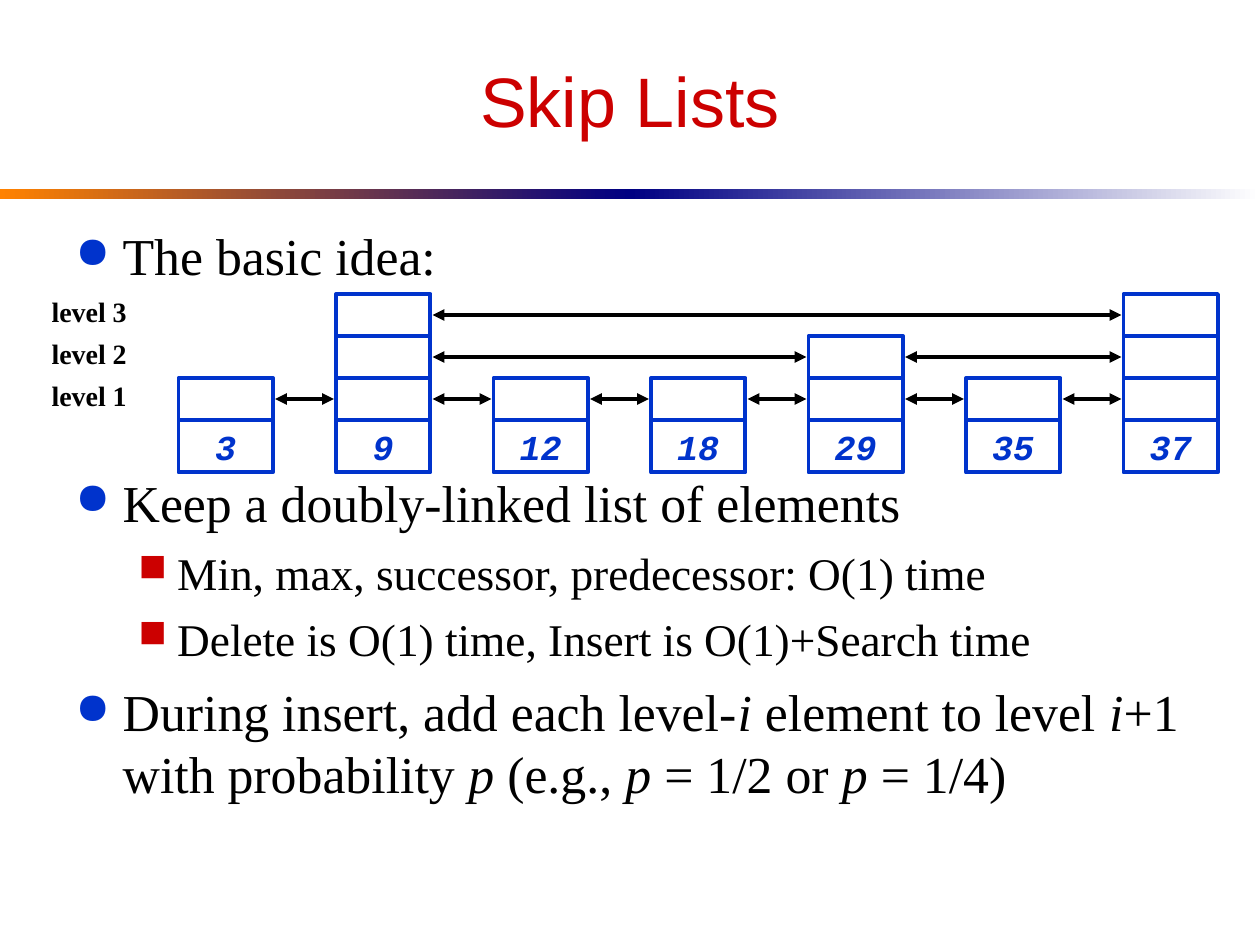
from lxml.etree import SubElement
from pptx import Presentation
from pptx.dml.color import RGBColor
from pptx.enum.shapes import MSO_CONNECTOR as Connector, MSO_SHAPE as Shape
from pptx.enum.text import MSO_ANCHOR as Anchor, PP_ALIGN as Align
from pptx.oxml.ns import qn
from pptx.util import Emu, Pt

PX = 7620
COLORS = {"red": "CC0000", "blue": "0033CC", "black": "000000",
          "white": "FFFFFF", "orange": "FF8200", "navy": "000082"}

TITLE = "Skip Lists"
INTRO = [(0, "The basic idea:")]
DETAILS = [
    (0, "Keep a doubly-linked list of elements"),
    (1, "Min, max, successor, predecessor: O(1) time"),
    (1, "Delete is O(1) time, Insert is O(1)+Search time"),
    (0, "During insert, add each level-*i* element to level *i*+1 "
        "with probability *p* (e.g., *p* = 1/2 or *p* = 1/4)"),
]
BULLETS = [
    {"mark": "●", "color": "blue", "size": 29.6, "before": 8, "margin": 45, "hang": 45},
    {"mark": "■", "color": "red", "size": 25.9, "before": 7, "margin": 97, "hang": 37},
]
NODES = [("3", 1), ("9", 3), ("12", 1), ("18", 1), ("29", 2), ("35", 1), ("37", 3)]
RULE = [(0, "orange", "navy"), (600, "navy", "white")]

NODE_LEFT, NODE_PITCH, NODE_WIDTH = 170, 150, 90
KEY_TOP, KEY_HEIGHT, LEVEL_HEIGHT = 400, 50, 40
LABEL_LEFT, LABEL_WIDTH = 20, 130
ARROW_GAP = 2


def px(*lengths):
    return [Emu(length * PX) for length in lengths]


def rgb(name):
    return RGBColor.from_string(COLORS[name])


def write(paragraph, text, size=20, font="Times New Roman", color="black",
          bold=False, italic=False, align=Align.LEFT, spacing=None):
    paragraph.alignment = align
    if spacing:
        paragraph.line_spacing = spacing
    for index, part in enumerate(text.split("*")):
        run = paragraph.add_run()
        run.text = part
        run.font.size = Pt(size)
        run.font.name = font
        run.font.bold = bold
        run.font.italic = italic or index % 2 == 1
        run.font.color.rgb = rgb(color)


def add_bullet(paragraph, style):
    properties = paragraph._p.get_or_add_pPr()
    properties.set("marL", str(style["margin"] * PX))
    properties.set("indent", str(-style["hang"] * PX))
    color = SubElement(properties, qn("a:buClr"))
    SubElement(color, qn("a:srgbClr"), val=COLORS[style["color"]])
    SubElement(properties, qn("a:buSzPct"), val="85000")
    SubElement(properties, qn("a:buChar"), char=style["mark"])


def add_list(slide, box, items):
    frame = slide.shapes.add_textbox(*px(*box)).text_frame
    frame.word_wrap = True
    for index, (level, text) in enumerate(items):
        style = BULLETS[level]
        paragraph = frame.add_paragraph() if index else frame.paragraphs[0]
        add_bullet(paragraph, style)
        if index:
            paragraph.level = level
            paragraph.space_before = Pt(style["before"])
        write(paragraph, text, size=style["size"])


def add_box(slide, box, line=None, text=None, **format):
    shape = slide.shapes.add_shape(Shape.RECTANGLE, *px(*box))
    shape.shadow.inherit = False
    shape.fill.solid()
    shape.fill.fore_color.rgb = rgb("white")
    if line:
        shape.line.color.rgb = rgb(line)
        shape.line.width = Pt(2.25)
    else:
        shape.line.fill.background()
    if text:
        shape.text_frame.word_wrap = False
        shape.text_frame.vertical_anchor = Anchor.MIDDLE
        write(shape.text_frame.paragraphs[0], text, align=Align.CENTER, **format)
    return shape


def add_arrow(slide, start, end, y):
    arrow = slide.shapes.add_connector(Connector.STRAIGHT, *px(start, y, end, y))
    arrow.line.color.rgb = rgb("black")
    arrow.line.width = Pt(2.25)
    line = arrow.line._get_or_add_ln()
    for tag in ("a:headEnd", "a:tailEnd"):
        SubElement(line, qn(tag), type="triangle")
    SubElement(arrow._element.spPr, qn("a:effectLst"))


def add_rule(slide):
    for left, start, end in RULE:
        bar = add_box(slide, (left, 180, 600, 10))
        bar.fill.gradient()
        bar.fill.gradient_angle = 0
        for stop, color, position in zip(bar.fill.gradient_stops, (start, end), (0, 1)):
            stop.color.rgb = rgb(color)
            stop.position = position


def add_skip_list(slide):
    lefts = [NODE_LEFT + NODE_PITCH * index for index in range(len(NODES))]
    for left, (key, height) in zip(lefts, NODES):
        add_box(slide, (left, KEY_TOP, NODE_WIDTH, KEY_HEIGHT), line="blue", text=key,
                font="Courier New", color="blue", bold=True, italic=True)
    for level in range(1, max(height for key, height in NODES) + 1):
        top = KEY_TOP - LEVEL_HEIGHT * level
        add_box(slide, (LABEL_LEFT, top, LABEL_WIDTH, LEVEL_HEIGHT),
                text=f"level {level}", size=16, bold=True, spacing=0.7)
        linked = [left for left, (key, height) in zip(lefts, NODES) if height >= level]
        for left in linked:
            add_box(slide, (left, top, NODE_WIDTH, LEVEL_HEIGHT), line="blue")
        for left, following in zip(linked, linked[1:]):
            add_arrow(slide, left + NODE_WIDTH + ARROW_GAP, following - ARROW_GAP,
                      top + LEVEL_HEIGHT // 2)


def main():
    presentation = Presentation()
    presentation.slide_width, presentation.slide_height = px(1200, 900)
    slide = presentation.slides.add_slide(presentation.slide_layouts[6])
    add_rule(slide)
    title = slide.shapes.add_textbox(*px(60, 30, 1080, 130)).text_frame
    title.word_wrap = True
    title.vertical_anchor = Anchor.MIDDLE
    write(title.paragraphs[0], TITLE, size=40, font="Arial", color="red", align=Align.CENTER)
    add_list(slide, (60, 207, 1080, 60), INTRO)
    add_list(slide, (60, 442, 1080, 328), DETAILS)
    add_skip_list(slide)
    presentation.save("out.pptx")


if __name__ == "__main__":
    main()
